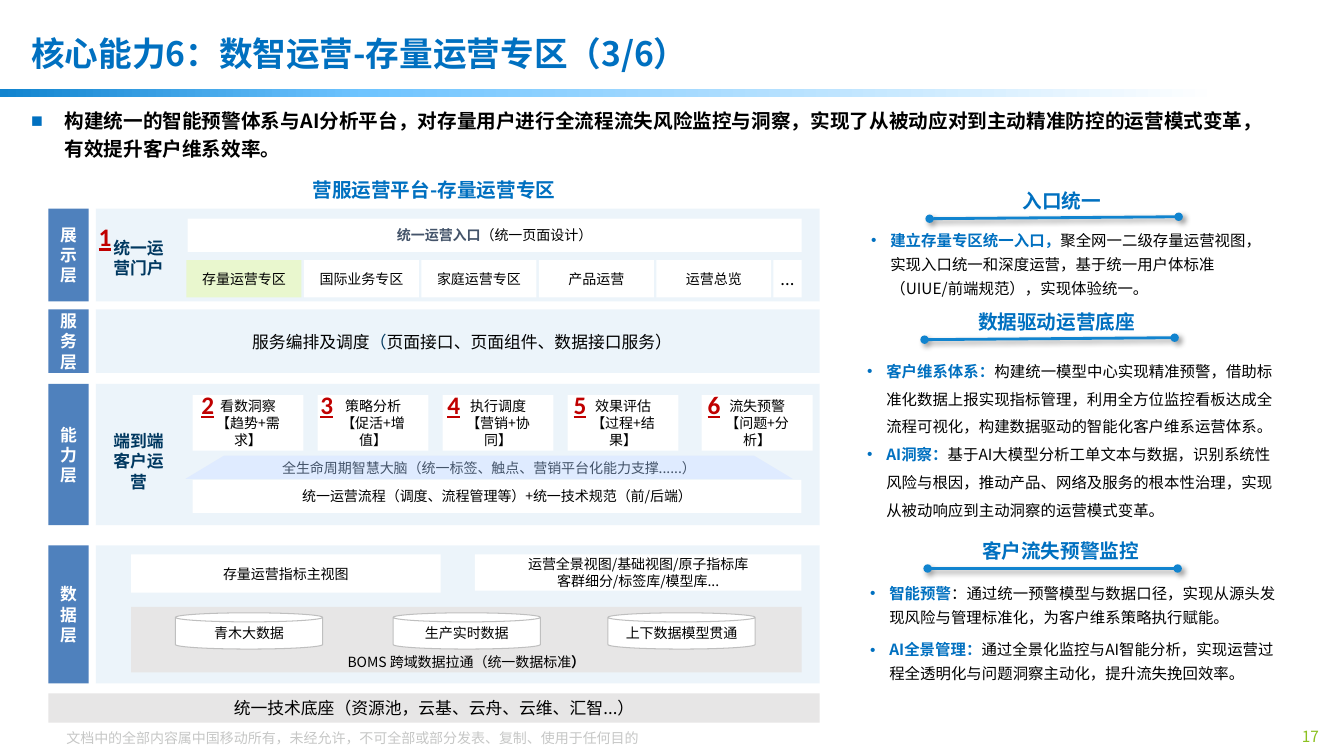
from dataclasses import dataclass

from lxml import etree
from pptx import Presentation
from pptx.dml.color import RGBColor
from pptx.enum.shapes import MSO_CONNECTOR, MSO_SHAPE
from pptx.enum.text import MSO_ANCHOR, MSO_AUTO_SIZE, PP_ALIGN
from pptx.oxml.ns import qn
from pptx.util import Inches, Pt

RECT, CAN, TRAPEZOID = MSO_SHAPE.RECTANGLE, MSO_SHAPE.CAN, MSO_SHAPE.TRAPEZOID
STRAIGHT = MSO_CONNECTOR.STRAIGHT
TOP, MIDDLE, BOTTOM = MSO_ANCHOR.TOP, MSO_ANCHOR.MIDDLE, MSO_ANCHOR.BOTTOM
LEFT, CENTER, RIGHT = PP_ALIGN.LEFT, PP_ALIGN.CENTER, PP_ALIGN.RIGHT
COMPARISON = 4


@dataclass(frozen=True)
class Theme:
    blue: str = "0070C0"
    stroke: str = "1184CF"
    sky: str = "6FC4FF"
    navy: str = "003860"
    slate: str = "44546A"
    steel: str = "4F81BD"
    panel: str = "E5F0F9"
    band: str = "DFEBFF"
    green: str = "E9F7CE"
    page: str = "8CC121"
    gray: str = "E7E6E6"
    edge: str = "BFBFBF"
    notice: str = "C6C7C6"
    red: str = "C00000"
    black: str = "000000"
    white: str = "FFFFFF"
    font: str = "Noto Sans CJK SC"
    digits: str = "Calibri"
    title: int = 24
    number: int = 18
    heading: int = 14
    label: int = 12
    body: int = 11
    small: int = 10


THEME = Theme()


def grid(*cells):
    """Lengths of columns and rows, each a tenth of an inch."""
    return [Inches(cell / 10) for cell in cells]


def xml_child(parent, tag, **attributes):
    return etree.SubElement(parent, qn(tag), {k: str(v) for k, v in attributes.items()})


def run(text, size=THEME.small, color=THEME.black, bold=False, underline=False, font=THEME.font):
    return text, color, {"size": Pt(size), "bold": bold, "underline": underline, "name": font}


class Board:
    def __init__(self, slide, theme):
        self.slide, self.theme = slide, theme

    def set_text(self, frame, paragraphs, align=CENTER, anchor=MIDDLE, wrap=True,
                 spacing=None, before=0, bullet=None, indent=0.19, insets=(0.1, 0.05, 0.1, 0.05)):
        left, top, right, bottom = map(Inches, insets)
        layout = {"auto_size": MSO_AUTO_SIZE.NONE, "word_wrap": wrap, "vertical_anchor": anchor,
                  "margin_left": left, "margin_top": top, "margin_right": right, "margin_bottom": bottom}
        for name, value in layout.items():
            setattr(frame, name, value)
        for index, runs in enumerate(paragraphs):
            line = frame.add_paragraph() if index else frame.paragraphs[0]
            if bullet:
                self.add_bullet(line, bullet, indent)
            line.alignment, line.line_spacing = align, spacing
            line.space_before = Pt(before if index else 0)
            for text, color, formats in runs:
                piece = line.add_run()
                piece.text = text
                for name, value in formats.items():
                    setattr(piece.font, name, value)
                piece.font.color.rgb = RGBColor.from_string(color)
                xml_child(piece.font._element, "a:ea", typeface=formats["name"])

    def add_bullet(self, line, character, indent):
        properties = line._p.get_or_add_pPr()
        properties.set("marL", str(Inches(indent)))
        properties.set("indent", str(-Inches(indent)))
        xml_child(xml_child(properties, "a:buClr"), "a:srgbClr", val=self.theme.blue)
        xml_child(properties, "a:buFont", typeface="Arial")
        xml_child(properties, "a:buChar", char=character)

    def fill_placeholder(self, index, cells, paragraphs, **options):
        holder = self.slide.placeholders[index]
        holder.left, holder.top, holder.width, holder.height = grid(*cells)
        self.set_text(holder.text_frame, paragraphs, **options)

    def label(self, cells, *runs, **options):
        self.set_text(self.slide.shapes.add_textbox(*grid(*cells)).text_frame, [runs], **options)

    def block(self, cells, *paragraphs, fill=THEME.white, kind=RECT, edge=None, alpha=None, **options):
        shape = self.slide.shapes.add_shape(kind, *grid(*cells))
        shape.shadow.inherit = False
        shape.fill.solid()
        shape.fill.fore_color.rgb = RGBColor.from_string(fill)
        if alpha:
            color = shape._element.spPr.find(qn("a:solidFill")).find(qn("a:srgbClr"))
            xml_child(color, "a:alpha", val=alpha * 1000)
        if edge:
            shape.line.color.rgb = RGBColor.from_string(edge)
            shape.line.width = Pt(0.75)
        else:
            shape.line.fill.background()
        if paragraphs:
            self.set_text(shape.text_frame, paragraphs, **options)
        return shape

    def gradient_bar(self, cells, stops):
        bar = self.block(cells)
        bar.fill.gradient()
        bar.fill.gradient_angle = 0
        stop_list = bar._element.spPr.find(qn("a:gradFill")).find(qn("a:gsLst"))
        for stop in list(stop_list):
            stop_list.remove(stop)
        for position, color in stops:
            xml_child(xml_child(stop_list, "a:gs", pos=position * 1000), "a:srgbClr", val=color)

    def underline(self, start_col, start_row, end_col, end_row):
        """Round-ended rule with a soft shadow."""
        rule = self.slide.shapes.add_connector(STRAIGHT, *grid(start_col, start_row, end_col, end_row))
        rule.line.color.rgb = RGBColor.from_string(self.theme.stroke)
        rule.line.width = Pt(2)
        for tag in ("a:headEnd", "a:tailEnd"):
            xml_child(rule.line._ln, tag, type="oval")
        effects = xml_child(rule._element.spPr, "a:effectLst")
        shadow = xml_child(effects, "a:outerShdw", blurRad=Pt(4), dist=Pt(3), dir=45 * 60000)
        xml_child(xml_child(shadow, "a:srgbClr", val=self.theme.black), "a:alpha", val=40000)


def draw_frame(board):
    t = board.theme
    board.gradient_bar((0, 8.8, 120.9, 0.8), [(0, t.stroke), (30, t.sky), (100, t.white)])
    board.label((5.6, 71.9, 117.1, 2.7),
                run("文档中的全部内容属中国移动所有，未经允许，不可全部或部分发表、复制、使用于任何目的", color=t.notice),
                align=LEFT)
    board.label((126.9, 71.7, 4.9, 2.7), run("17", t.body, t.page), align=RIGHT)
    board.fill_placeholder(0, (2.1, 2, 104.1, 7),
                           [[run("核心能力6：数智运营-存量运营专区（3/6）", t.title, t.blue, True)]],
                           align=LEFT, spacing=0.9)
    board.fill_placeholder(1, (2.1, 9.8, 125, 8.3), [[run(
        "构建统一的智能预警体系与AI分析平台，对存量用户进行全流程流失风险监控与洞察，"
        "实现了从被动应对到主动精准防控的运营模式变革，有效提升客户维系效率。", t.heading, bold=True)]],
        align=LEFT, anchor=TOP, spacing=1.2, bullet="■", indent=0.33)


def draw_benefits(board):
    t = board.theme
    benefits = [
        ("入口统一", (91.7, 18.3), (92.2, 21.7, 116.9, 21.5), (85.4, 21.9, 41.2, 8.2), 1.3, 6,
         [("建立存量专区统一入口，", "聚全网一二级存量运营视图，实现入口统一和深度运营，"
           "基于统一用户体标准（UIUE/前端规范），实现体验统一。")]),
        ("数据驱动运营底座", (91.2, 30.3), (91.7, 33.7, 116.5, 33.5), (85, 34.5, 43.5, 17.7), 1.5, 0,
         [("客户维系体系：", "构建统一模型中心实现精准预警，借助标准化数据上报实现指标管理，"
           "利用全方位监控看板达成全流程可视化，构建数据驱动的智能化客户维系运营体系。"),
          ("AI洞察：", "基于AI大模型分析工单文本与数据，识别系统性风险与根因，"
           "推动产品、网络及服务的根本性治理，实现从被动响应到主动洞察的运营模式变革。")]),
        ("客户流失预警监控", (91.6, 53), (92, 56.4, 116.8, 56.4), (85.3, 56.9, 43.2, 11.5), 1.3, 6,
         [("智能预警", "：通过统一预警模型与数据口径，实现从源头发现风险与管理标准化，为客户维系策略执行赋能。"),
          ("AI全景管理：", "通过全景化监控与AI智能分析，实现运营过程全透明化与问题洞察主动化，提升流失挽回效率。")]),
    ]
    for index, (heading, corner, rule, cells, spacing, before, points) in enumerate(benefits, 2):
        board.label((*corner, 27.2, 3.4), run(heading, t.heading, t.blue, True), anchor=TOP)
        board.underline(*rule)
        board.fill_placeholder(index, cells, [[run(lead, t.body, t.blue, True), run(rest, t.body)]
                                              for lead, rest in points],
                               align=LEFT, anchor=TOP, spacing=spacing, before=before, bullet="•")


def draw_layers(board):
    t = board.theme
    board.label((4.8, 17.2, 76.5, 3.4), run("营服运营平台-存量运营专区", t.heading, t.blue, True), anchor=TOP)
    layers = [("展示层", 20.7, 9.2), ("服务层", 30.7, 6.3), ("能力层", 38.1, 14), ("数据层", 54.1, 13.7)]
    for name, top, height in layers:
        board.block((9.5, top, 71.8, height), fill=t.panel, alpha=70)
        board.block((4.8, top, 4, height), [run(name, t.label, t.white, True)], fill=t.steel)
    for group, top in (("统一运营门户", 22.3), ("端到端客户运营", 42.5)):
        board.label((10.2, top, 7.1, 6.5), run(group, t.label, t.navy, True), insets=(0.08, 0, 0.08, 0))
    board.label((22.1, 32.4, 47.5, 3.2), run("服务编排及调度", t.label), run("（", t.label, t.navy),
                run("页面接口、页面组件、数据接口服务）", t.label), anchor=TOP)
    board.block((4.8, 68.8, 76.5, 2.9), [run("统一技术底座（资源池，云基、云舟、云维、汇智...）", t.label)], fill=t.gray)


def draw_portal(board):
    t = board.theme
    board.block((18.6, 21.7, 60.9, 3.3), [run("统一运营入口", color=t.slate, bold=True), run("（统一页面设计）")])
    zones = ["存量运营专区", "国际业务专区", "家庭运营专区", "产品运营", "运营总览"]
    for index, zone in enumerate(zones):
        board.block((18.5 + 11.65 * index, 25.8, 11.4, 3.7), [run(zone)], fill=t.white if index else t.green)
    board.block((76.7, 25.8, 2.8, 3.7), [run("...", t.label)], wrap=False)


def draw_abilities(board):
    t = board.theme
    board.block((19.1, 47.6, 60.4, 3.3), [run("统一运营流程（调度、流程管理等）+统一技术规范（前/后端）")])
    brain = board.block((18.4, 45.2, 60.2, 2.3),
                        [run("全生命周期智慧大脑（统一标签、触点、营销平台化能力支撑......）", color=t.slate)],
                        fill=t.band, kind=TRAPEZOID, insets=(0, 0, 0, 0))
    brain.adjustments[0] = 1.664
    abilities = [("看数洞察", "【趋势+需求】", 19.1, 19), ("策略分析", "【促活+增值】", 31.5, 30.8),
                 ("执行调度", "【营销+协同】", 43.9, 43.4), ("效果评估", "【过程+结果】", 56.3, 55.9),
                 ("流失预警", "【问题+分析】", 69.6, 69.2)]
    badges = [("1", 8.8, 21.5)]
    for number, (ability, detail, left, badge_left) in enumerate(abilities, 2):
        board.block((left, 39.2, 11, 5.5), [run(ability)], [run(detail)])
        badges.append((str(number), badge_left, 38.1))
    for number, left, top in badges:
        board.label((left, top, 4.4, 5.2), run(number, t.number, t.red, True, True, t.digits),
                    align=LEFT, anchor=TOP)


def draw_data(board):
    t = board.theme
    board.block((13, 55, 30.7, 3.8), [run("存量运营指标主视图")])
    board.block((47.1, 55, 32.4, 3.6), [run("运营全景视图/基础视图/原子指标库")], [run("客群细分/标签库/模型库...")])
    board.block((13, 60.2, 66.5, 6.5), [run("BOMS 跨域数据拉通（统一数据标准"), run("）", bold=True)],
                fill=t.gray, anchor=BOTTOM, insets=(0.1, 0, 0.1, 0.02))
    for source, left in (("青木大数据", 17.4), ("生产实时数据", 39), ("上下数据模型贯通", 60.3)):
        board.block((left, 60.8, 14.6, 3.6), [run(source)], kind=CAN, edge=t.edge)


def main():
    deck = Presentation()
    deck.slide_width, deck.slide_height = grid(133.3, 75)
    board = Board(deck.slides.add_slide(deck.slide_layouts[COMPARISON]), THEME)
    for draw in (draw_frame, draw_benefits, draw_layers, draw_portal, draw_abilities, draw_data):
        draw(board)
    deck.save("out.pptx")


if __name__ == "__main__":
    main()
